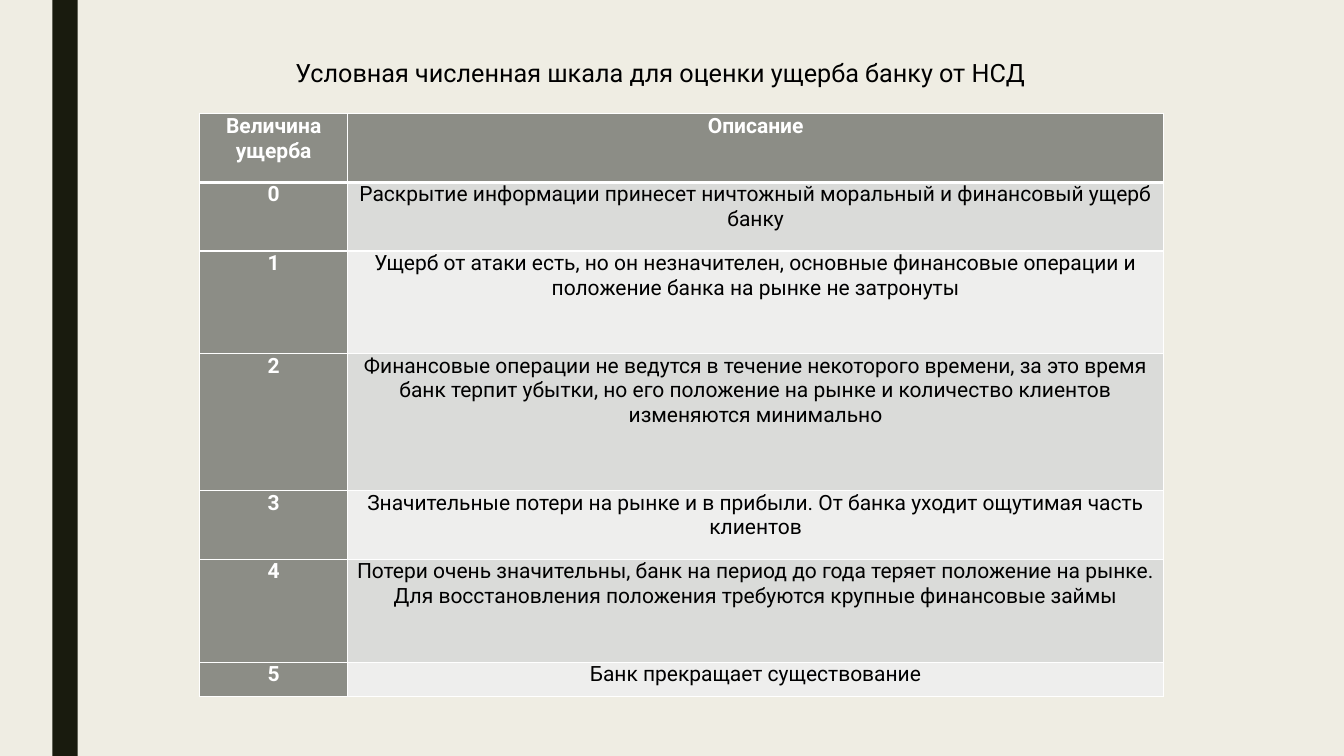
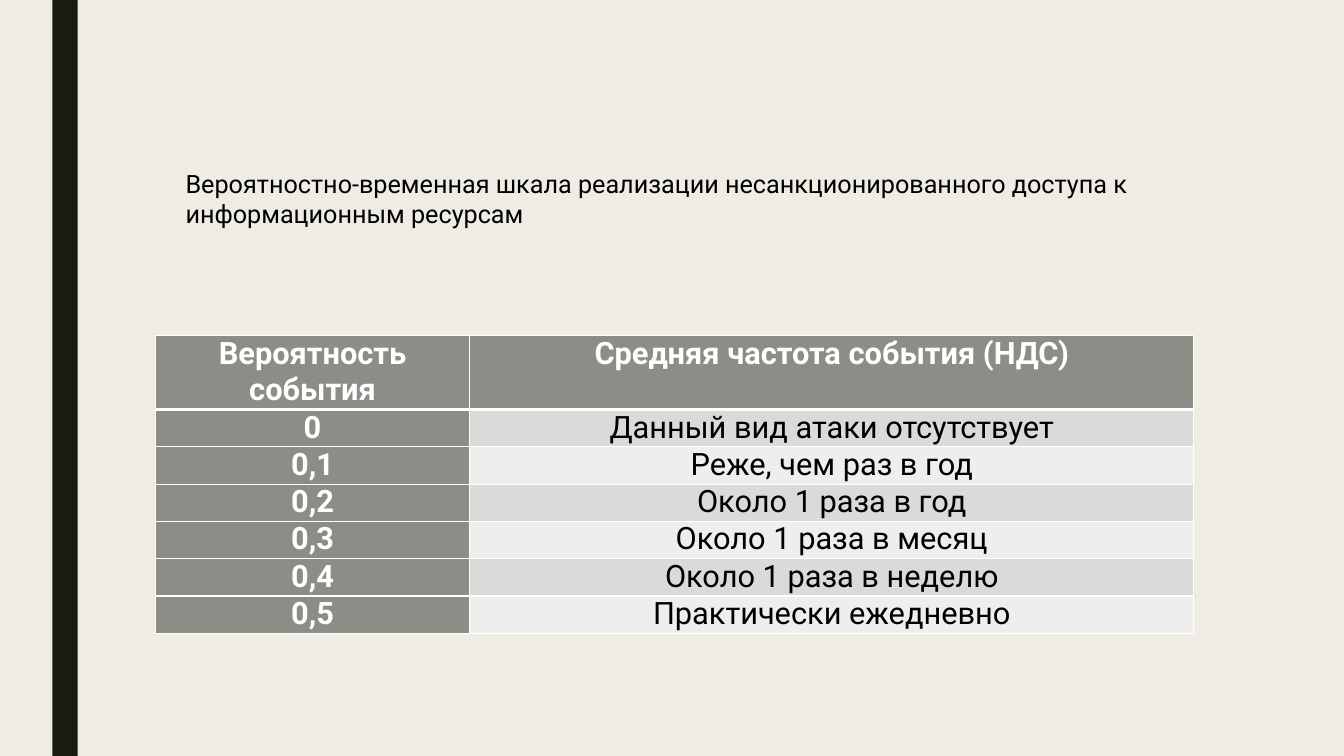
from pptx import Presentation
from pptx.dml.color import RGBColor
from pptx.enum.shapes import MSO_SHAPE
from pptx.enum.text import MSO_ANCHOR, MSO_AUTO_SIZE, PP_ALIGN
from pptx.oxml.ns import qn
from pptx.util import Inches, Pt
from lxml.etree import SubElement

PAPER = RGBColor(0xEF, 0xED, 0xE3)
BAND = RGBColor(0x19, 0x1B, 0x0E)
HEAD = RGBColor(0x8C, 0x8D, 0x86)
ROW_DARK = RGBColor(0xDA, 0xDB, 0xD9)
ROW_LIGHT = RGBColor(0xEE, 0xEE, 0xED)
WHITE = RGBColor(0xFF, 0xFF, 0xFF)
BLACK = RGBColor(0, 0, 0)


class Deck:
    font = "Roboto"
    title_size = 18

    def __init__(self):
        self.prs = Presentation()
        self.prs.slide_width = Inches(13.33)
        self.prs.slide_height = Inches(7.5)
        fill = self.prs.slide_master.background.fill
        fill.solid()
        fill.fore_color.rgb = PAPER
        self.slide = None

    def add_slide(self):
        self.slide = self.prs.slides.add_slide(self.prs.slide_layouts[5])
        self.band()

    def band(self):
        sp = self.slide.shapes.add_shape(
            MSO_SHAPE.RECTANGLE, Inches(0.52), 0, Inches(0.25), self.prs.slide_height)
        sp.shadow.inherit = False
        sp.fill.solid()
        sp.fill.fore_color.rgb = BAND
        sp.line.fill.background()

    def style(self, p, size, color, bold, align):
        p.alignment = align
        p.font.name = self.font
        p.font.size = Pt(size)
        p.font.bold = bold
        p.font.color.rgb = color

    def title(self, text, left, top, width, height):
        sp = self.slide.shapes.title
        sp.left, sp.top = Inches(left), Inches(top)
        sp.width, sp.height = Inches(width), Inches(height)
        tf = sp.text_frame
        tf.text = text
        tf.word_wrap = True
        tf.auto_size = MSO_AUTO_SIZE.SHAPE_TO_FIT_TEXT
        tf.vertical_anchor = MSO_ANCHOR.TOP
        self.style(tf.paragraphs[0], self.title_size, BLACK, False, PP_ALIGN.LEFT)

    def borders(self, cell, top, bottom):
        tcPr = cell._tc.get_or_add_tcPr()
        for side, width in (("L", 1), ("R", 1), ("T", top), ("B", bottom)):
            ln = SubElement(tcPr, qn(f"a:ln{side}"), w=str(Pt(width)))
            fill = SubElement(ln, qn("a:solidFill"))
            SubElement(fill, qn("a:srgbClr"), val=str(WHITE))

    def cell(self, cell, text, row, col, size, margin):
        # Header row and first column share one look; the rest is banded
        is_head = row == 0 or col == 0
        self.borders(cell, 3 if row == 1 else 1, 3 if row == 0 else 1)
        cell.fill.solid()
        cell.fill.fore_color.rgb = HEAD if is_head else ROW_DARK if row % 2 else ROW_LIGHT
        cell.margin_left = cell.margin_right = Inches(margin)
        cell.margin_top = cell.margin_bottom = 0
        cell.text = text
        self.style(cell.text_frame.paragraphs[0], size,
                   WHITE if is_head else BLACK, is_head, PP_ALIGN.CENTER)

    def table(self, rows, left, top, widths, heights, size, margin):
        table = self.slide.shapes.add_table(
            len(rows), len(widths), Inches(left), Inches(top),
            Inches(sum(widths)), Inches(sum(heights))).table
        for column, width in zip(table.columns, widths):
            column.width = Inches(width)
        for i, (values, height) in enumerate(zip(rows, heights)):
            table.rows[i].height = Inches(height)
            for j, text in enumerate(values):
                self.cell(table.cell(i, j), text, i, j, size, margin)


DAMAGE = [
    ("Величина ущерба", "Описание"),
    ("0", "Раскрытие информации принесет ничтожный моральный и финансовый ущерб банку"),
    ("1", "Ущерб от атаки есть, но он незначителен, основные финансовые операции "
          "и положение банка на рынке не затронуты"),
    ("2", "Финансовые операции не ведутся в течение некоторого времени, за это время "
          "банк терпит убытки, но его положение на рынке и количество клиентов "
          "изменяются минимально"),
    ("3", "Значительные потери на рынке и в прибыли. От банка уходит ощутимая часть клиентов"),
    ("4", "Потери очень значительны, банк на период до года теряет положение на рынке. "
          "Для восстановления положения требуются крупные финансовые займы"),
    ("5", "Банк прекращает существование"),
]

FREQUENCY = [
    ("Вероятность события", "Средняя частота события (НДС)"),
    ("0", "Данный вид атаки отсутствует"),
    ("0,1", "Реже, чем раз в год"),
    ("0,2", "Около 1 раза в год"),
    ("0,3", "Около 1 раза в месяц"),
    ("0,4", "Около 1 раза в неделю"),
    ("0,5", "Практически ежедневно"),
]


def main():
    deck = Deck()

    # Damage scale: row heights are multiples of one line
    deck.add_slide()
    deck.title("Условная численная шкала для оценки ущерба банку от НСД",
               2.83, 0.52, 7.85, 0.4)
    deck.table(DAMAGE, 1.98, 1.13, (1.47, 8.09),
               [0.34 * n for n in (2, 2, 3, 4, 2, 3, 1)], size=15, margin=0.08)

    # Probability scale
    deck.add_slide()
    deck.title("Вероятностно-временная шкала реализации несанкционированного "
               "доступа к информационным ресурсам", 1.74, 1.62, 10.1, 0.71)
    deck.table(FREQUENCY, 1.54, 3.33, (3.12, 7.18),
               [0.42] + [0.37] * 6, size=22, margin=0.12)

    deck.prs.save("out.pptx")


if __name__ == "__main__":
    main()
